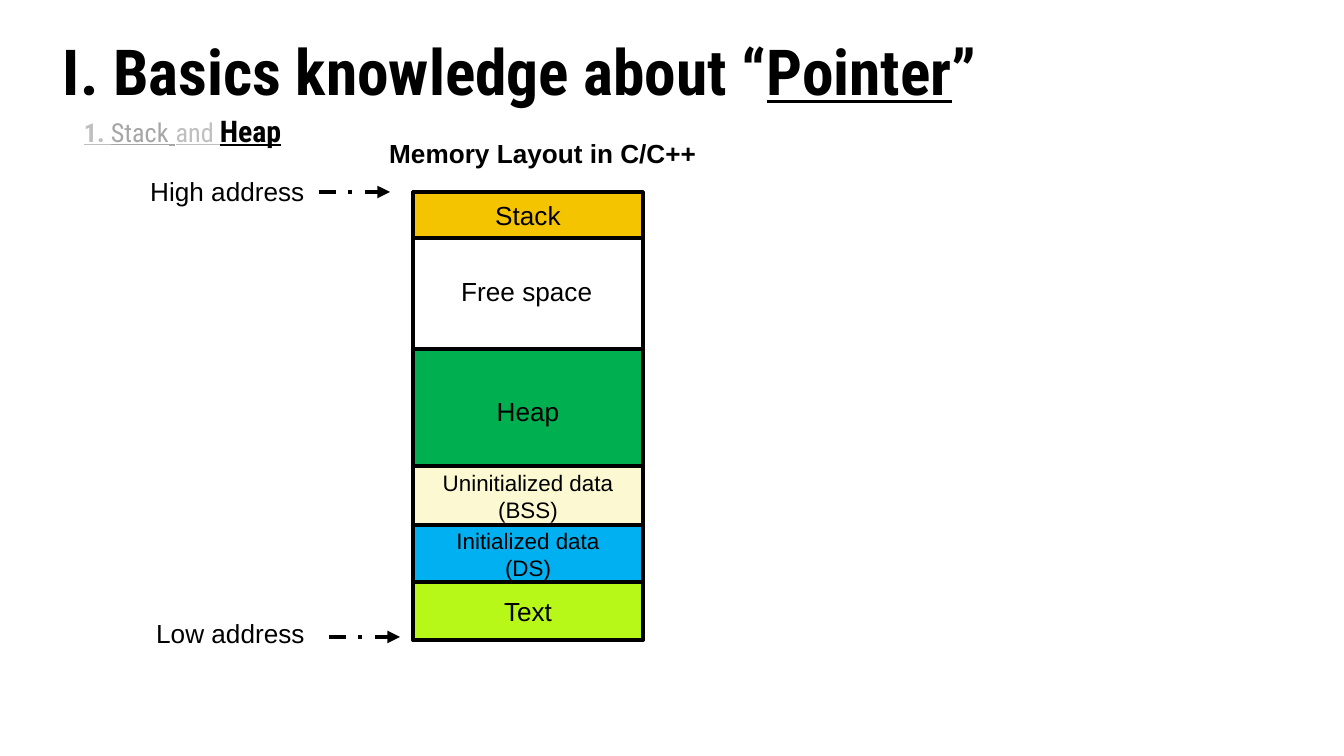
import pptx
import pptx.util
import pptx.dml.color
import pptx.enum.dml
import pptx.enum.shapes
import pptx.enum.text
import pptx.oxml.ns
from lxml import etree

PX = 914400 / 134.4
BLACK = "000000"
HEAD_FONT, BODY_FONT = "Roboto Condensed", "Arial"
ALIGN = pptx.enum.text.PP_ALIGN
ANCHOR = pptx.enum.text.MSO_ANCHOR

# Content: runs are (text, size, colour, bold, underline)
TITLE = [
    ("I. Basics knowledge about “", 34, BLACK, True, False),
    ("Pointer", 34, BLACK, True, True),
    ("”", 34, BLACK, True, False),
]
SUBTITLE = [
    ("1.", 14, "BFBFBF", True, True),
    (" ", 14, "BFBFBF", False, True),
    ("Stack", 14, "A6A6A6", False, True),
    (" ", 16, "A6A6A6", True, True),
    ("and ", 14, "BFBFBF", False, True),
    ("Heap", 16, BLACK, True, True),
]
# Memory column: left, top, width, height
COLUMN = (413, 192, 230, 448)
# Segments: lines, top, height, fill, text size
SEGMENTS = [
    (["Stack"], 192, 46, "F5C400", 14),
    (["Heap"], 349, 125, "00B050", 14),
    (["Uninitialized data", "(BSS)"], 466, 60, "FBF8D2", 12),
    (["Initialized data", "(DS)"], 525, 58, "00B0F0", 12),
    (["Text"], 582, 58, "B8F818", 14),
]
# Labels: text, left, top, width, bold
LABELS = [
    ("High address", 137, 169, 183, False),
    ("Low address", 143, 611, 176, False),
    ("Memory Layout in C/C++", 376, 131, 336, True),
    ("Free space", 448, 269, 159, False),
]
LABEL_HEIGHT = 46
# Arrows: left, y
ARROWS = [(319, 192), (329, 637)]
ARROW_LENGTH = 71


def px(*values):
    return [pptx.util.Emu(round(v * PX)) for v in values]


def rgb(value):
    return pptx.dml.color.RGBColor.from_string(value)


def style(r, size, color=BLACK, bold=False, underline=False, font=BODY_FONT):
    r.font.name = font
    r.font.size = pptx.util.Pt(size)
    r.font.color.rgb = rgb(color)
    r.font.bold = bold
    r.font.underline = underline


def add_heading(s, box, runs, spacing, align, anchor):
    tf = s.shapes.add_textbox(*px(*box)).text_frame
    tf.word_wrap = True
    tf.vertical_anchor = anchor
    tf.margin_left, tf.margin_right, tf.margin_top, tf.margin_bottom = px(9, 9, 5, 5)
    p = tf.paragraphs[0]
    p.alignment = align
    p.line_spacing = spacing
    for text, *look in runs:
        r = p.add_run()
        r.text = text
        style(r, *look, font=HEAD_FONT)


def add_block(s, box, fill=None, lines=(), size=14):
    sp = s.shapes.add_shape(pptx.enum.shapes.MSO_SHAPE.RECTANGLE, *px(*box))
    sp.shadow.inherit = False
    sp.line.color.rgb = rgb(BLACK)
    sp.line.width = pptx.util.Pt(2)
    if fill:
        sp.fill.solid()
        sp.fill.fore_color.rgb = rgb(fill)
    else:
        sp.fill.background()
    tf = sp.text_frame
    tf.vertical_anchor = ANCHOR.MIDDLE
    tf.text = "\n".join(lines)
    for p in tf.paragraphs:
        p.alignment = ALIGN.CENTER
        for r in p.runs:
            style(r, size)


def add_arrow(s, left, y):
    c = s.shapes.add_connector(pptx.enum.shapes.MSO_CONNECTOR.STRAIGHT,
                               *px(left, y, left + ARROW_LENGTH, y))
    c.line.color.rgb = rgb(BLACK)
    c.line.width = pptx.util.Pt(2.25)
    c.line.dash_style = pptx.enum.dml.MSO_LINE.DASH_DOT
    qn = pptx.oxml.ns.qn
    etree.SubElement(c.line._get_or_add_ln(), qn("a:tailEnd"), type="triangle")
    etree.SubElement(c._element.spPr, qn("a:effectLst"))


def add_label(s, text, left, top, width, bold):
    tf = s.shapes.add_textbox(*px(left, top, width, LABEL_HEIGHT)).text_frame
    tf.word_wrap = False
    tf.auto_size = pptx.enum.text.MSO_AUTO_SIZE.SHAPE_TO_FIT_TEXT
    tf.text = text
    style(tf.paragraphs[0].runs[0], 14, bold=bold)


def main():
    prs = pptx.Presentation()
    prs.slide_width, prs.slide_height = px(1344, 756)
    s = prs.slides.add_slide(prs.slide_layouts[6])

    # Headings
    add_heading(s, (54, 35, 1101, 79), TITLE, 0.9, ALIGN.LEFT, ANCHOR.MIDDLE)
    add_heading(s, (75, 102, 253, 62), SUBTITLE, 1.15, ALIGN.JUSTIFY, ANCHOR.TOP)

    # Memory column: frame, then its segments
    add_block(s, COLUMN)
    left, _, width, _ = COLUMN
    for lines, top, height, fill, size in SEGMENTS:
        add_block(s, (left, top, width, height), fill, lines, size)

    # Address arrows and labels
    for arrow in ARROWS:
        add_arrow(s, *arrow)
    for label in LABELS:
        add_label(s, *label)

    prs.save("out.pptx")


if __name__ == "__main__":
    main()
